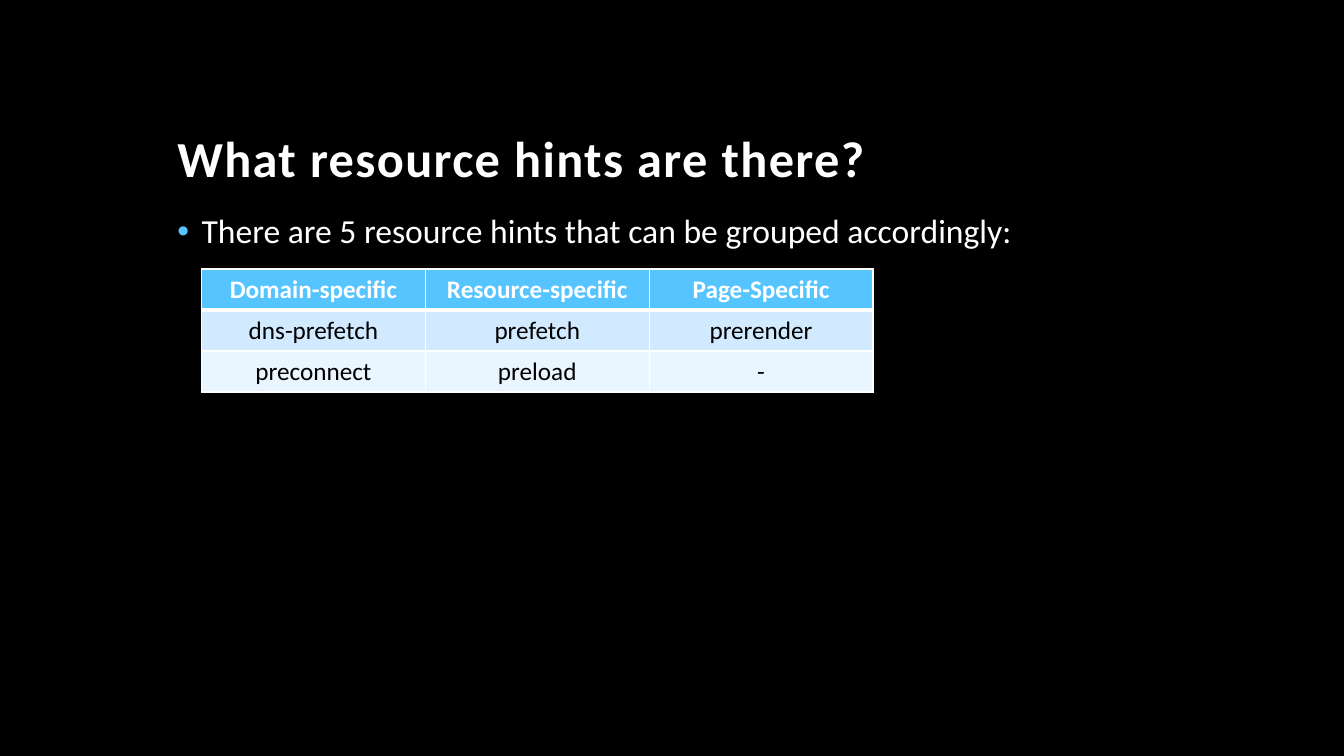
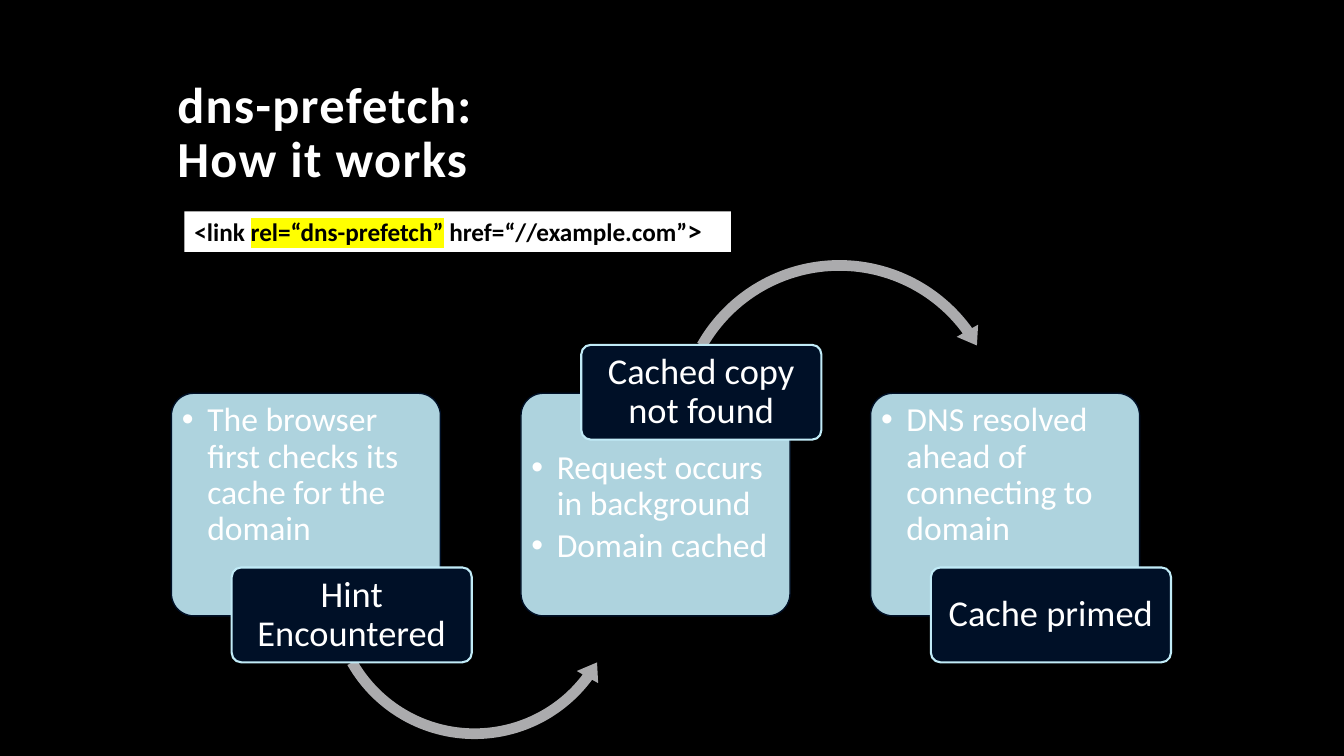
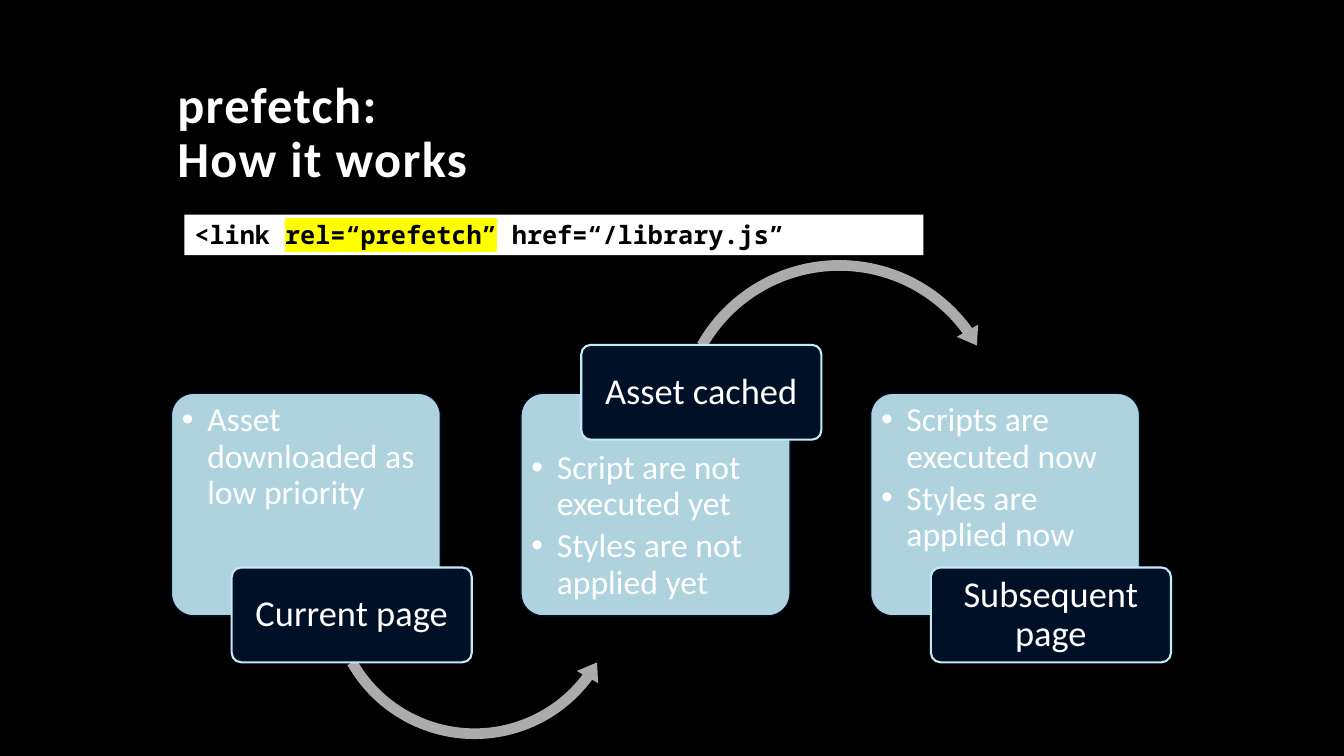
from lxml import etree
from pptx import Presentation
from pptx.dml.color import RGBColor
from pptx.enum.shapes import MSO_SHAPE
from pptx.enum.text import MSO_ANCHOR, PP_ALIGN
from pptx.oxml.ns import qn
from pptx.util import Cm, Pt

ROUNDED, RECT = MSO_SHAPE.ROUNDED_RECTANGLE, MSO_SHAPE.RECTANGLE
ARC_OVER, ARC_UNDER = MSO_SHAPE.CIRCULAR_ARROW, MSO_SHAPE.LEFT_CIRCULAR_ARROW
TOP, MIDDLE, BOTTOM = MSO_ANCHOR.TOP, MSO_ANCHOR.MIDDLE, MSO_ANCHOR.BOTTOM
LEFT, CENTER = PP_ALIGN.LEFT, PP_ALIGN.CENTER

# Shared look
FONT, MONO = "Calibri", "Noto Sans Mono"
BLACK, WHITE, YELLOW = "000000", "FFFFFF", "FFFF00"
ACCENT, ROW_FILLS = "56C5FF", ("56C5FF", "D1EAFF", "E9F5FF")
NAVY, PALE, GREY = "001027", "C1EBF7", "ABABAD"
SIDE = 4.22
TITLE_BOX = (SIDE, 1.07, 25.4, 3.81)
BODY_BOX = (SIDE, 5.28, 25.37, 11.43)


def rgb(value):
    return RGBColor.from_string(value)


def cm_box(box):
    return [Cm(length) for length in box]


def add_xml(parent, tag, **attributes):
    return etree.SubElement(parent, qn(tag), attributes)


def add_bullet(paragraph, indent, color):
    properties = paragraph._p.get_or_add_pPr()
    properties.set("marL", str(Cm(indent)))
    properties.set("indent", str(-Cm(indent)))
    add_xml(add_xml(properties, "a:buClr"), "a:srgbClr", val=color)
    add_xml(properties, "a:buFont", typeface="Arial")
    add_xml(properties, "a:buChar", char="•")


def add_run(paragraph, text, size, color, bold, font, tracking=0, highlight=None):
    run = paragraph.add_run()
    run.text = text
    run.font.size, run.font.bold = Pt(size), bold
    run.font.color.rgb = rgb(color)
    properties = run._r.get_or_add_rPr()
    if tracking:
        properties.set("spc", str(tracking * 100))
    if highlight:
        add_xml(add_xml(properties, "a:highlight"), "a:srgbClr", val=highlight)
    run.font.name = font


def write(frame, paragraphs, size=18, color=WHITE, bold=False, font=FONT, tracking=0,
          align=LEFT, anchor=TOP, spacing=1.0, after=0, bullet=None, indent=0.64,
          margins=None):
    """Each paragraph is a string or a list of (text, run format) pairs."""
    frame.word_wrap = True
    frame.vertical_anchor = anchor
    if margins:
        (frame.margin_left, frame.margin_top,
         frame.margin_right, frame.margin_bottom) = cm_box(margins)
    for index, content in enumerate(paragraphs):
        paragraph = frame.add_paragraph() if index else frame.paragraphs[0]
        paragraph.alignment, paragraph.line_spacing = align, spacing
        paragraph.space_after = Pt(after)
        if bullet:
            add_bullet(paragraph, indent, bullet)
        runs = [(content, {})] if isinstance(content, str) else content
        for text, changes in runs:
            style = dict(size=size, color=color, bold=bold, font=font,
                         tracking=tracking) | changes
            for number, line in enumerate(text.split("\n")):
                if number:
                    paragraph.add_line_break()
                add_run(paragraph, line, **style)


def add_text(slide, box, paragraphs, **style):
    write(slide.shapes.add_textbox(*cm_box(box)).text_frame, paragraphs, **style)


def add_figure(slide, kind, box, fill, line=None, width=1, opacity=None):
    figure = slide.shapes.add_shape(kind, *cm_box(box))
    figure.shadow.inherit = False
    figure.fill.solid()
    figure.fill.fore_color.rgb = rgb(fill)
    if opacity:
        color = figure._element.spPr.find(qn("a:solidFill"))[0]
        add_xml(color, "a:alpha", val=str(opacity * 1000))
    if line:
        figure.line.color.rgb = rgb(line)
        figure.line.width = Pt(width)
    else:
        figure.line.fill.background()
    return figure


def add_titled_slide(deck, title):
    slide = deck.slides.add_slide(deck.slide_layouts[6])
    slide.background.fill.solid()
    slide.background.fill.fore_color.rgb = rgb(BLACK)
    add_text(slide, TITLE_BOX, [title], size=36, bold=True, tracking=1,
             anchor=BOTTOM, spacing=0.9)
    return slide


# Table of hints
def set_border(cell, edge, width):
    line = add_xml(cell._tc.get_or_add_tcPr(), f"a:ln{edge}", w=str(Pt(width)))
    add_xml(add_xml(line, "a:solidFill"), "a:srgbClr", val=WHITE)


def add_hint_table(slide, box, rows):
    frame = slide.shapes.add_table(len(rows), len(rows[0]), *cm_box(box))
    table = frame.table
    table.horz_banding = False
    for r, row in enumerate(rows):
        for c, text in enumerate(row):
            cell = table.cell(r, c)
            write(cell.text_frame, [text], align=CENTER, bold=r == 0,
                  color=BLACK if r else WHITE)
            for edge in "LRTB":
                under_header = (r, edge) in ((0, "B"), (1, "T"))
                set_border(cell, edge, 3 if under_header else 1)
            cell.fill.solid()
            cell.fill.fore_color.rgb = rgb(ROW_FILLS[r])


def build_overview(deck):
    slide = add_titled_slide(deck, "What resource hints are there?")
    add_text(slide, BODY_BOX,
             ["There are 5 resource hints that can be grouped accordingly:"],
             size=24, spacing=0.9, bullet=ACCENT, indent=0.61)
    add_hint_table(slide, (5.08, 6.78, 16.92, 3.1), [
        ("Domain-specific", "Resource-specific", "Page-Specific"),
        ("dns-prefetch", "prefetch", "prerender"),
        ("preconnect", "preload", "-"),
    ])


# Process of three steps
STEP_LEFT, STEP_TOP, STEP_PITCH = 4.32, 9.91, 8.81
STEP_WIDTH, STEP_HEIGHT = 6.78, 5.61
# Kind, offset from the step, size, then head, end and start angles in degrees
ARROWS = [
    (ARC_UNDER, 3.78, 1.17, 7.72, (7.13, 36.72, 150.41)),
    (ARC_OVER, 3.73, -3.53, 8.59, (6.36, 324.05, 209.59)),
]


def add_arc(slide, left, top, kind, dx, dy, size, angles):
    arc = add_figure(slide, kind, (left + dx, top + dy, size, size), GREY)
    values = [0.27 / size, *(angle * 0.6 for angle in angles), 0.31 / size]
    for index, value in enumerate(values):
        arc.adjustments[index] = value


def add_step(slide, left, top, label, points, label_above, arrow):
    card = add_figure(slide, ROUNDED, (left, top, STEP_WIDTH, STEP_HEIGHT), PALE,
                      line=NAVY, opacity=90)
    card.adjustments[0] = 0.1
    write(card.text_frame, points, size=24, spacing=0.9, after=4, bullet=WHITE,
          margins=(0.1, 1.28 if label_above else 0.08, 0.1, 0.1))
    if arrow:
        add_arc(slide, left, top, *arrow)
    label_top = top + (-1.22 if label_above else 4.39)
    tag = add_figure(slide, ROUNDED, (left + 1.52, label_top, 6.05, 2.39), NAVY,
                     line=PALE, width=1.5)
    tag.adjustments[0] = 0.1
    write(tag.text_frame, [label], size=26, spacing=0.9, align=CENTER,
          anchor=MIDDLE, margins=(0.13, 0.1, 0.13, 0.1))


def build_process(deck, title, code, code_box, code_font, steps):
    slide = add_titled_slide(deck, title)
    for index, (label, points) in enumerate(steps):
        add_step(slide, STEP_LEFT + index * STEP_PITCH, STEP_TOP, label, points,
                 label_above=index % 2 == 1,
                 arrow=ARROWS[index] if index < len(ARROWS) else None)
    strip = add_figure(slide, RECT, code_box, WHITE)
    write(strip.text_frame, [code], color=BLACK, bold=True, font=code_font)


def main():
    deck = Presentation()
    deck.slide_width, deck.slide_height = Cm(33.87), Cm(19.05)
    marked = {"highlight": YELLOW}
    build_overview(deck)
    build_process(
        deck, "dns-prefetch:\nHow it works",
        [("<link ", {}), ("rel=“dns-prefetch”", marked),
         (" href=“//example.com”", {}), (">", {"font": MONO})],
        (4.65, 5.33, 13.77, 1.02), FONT, [
            ("Hint Encountered",
             ["The browser first checks its cache for the domain"]),
            ("Cached copy not found",
             ["Request occurs in background", "Domain cached"]),
            ("Cache primed", ["DNS resolved ahead of connecting to domain"]),
        ])
    build_process(
        deck, "prefetch:\nHow it works",
        [("<link ", {}), ("rel=“prefetch”", marked),
         (" href=“/library.js”", {})],
        (4.65, 5.41, 18.62, 1.02), MONO, [
            ("Current page", ["Asset downloaded as low priority"]),
            ("Asset cached",
             ["Script are not executed yet", "Styles are not applied yet"]),
            ("Subsequent page",
             ["Scripts are executed now", "Styles are applied now"]),
        ])
    deck.save("out.pptx")


if __name__ == "__main__":
    main()
